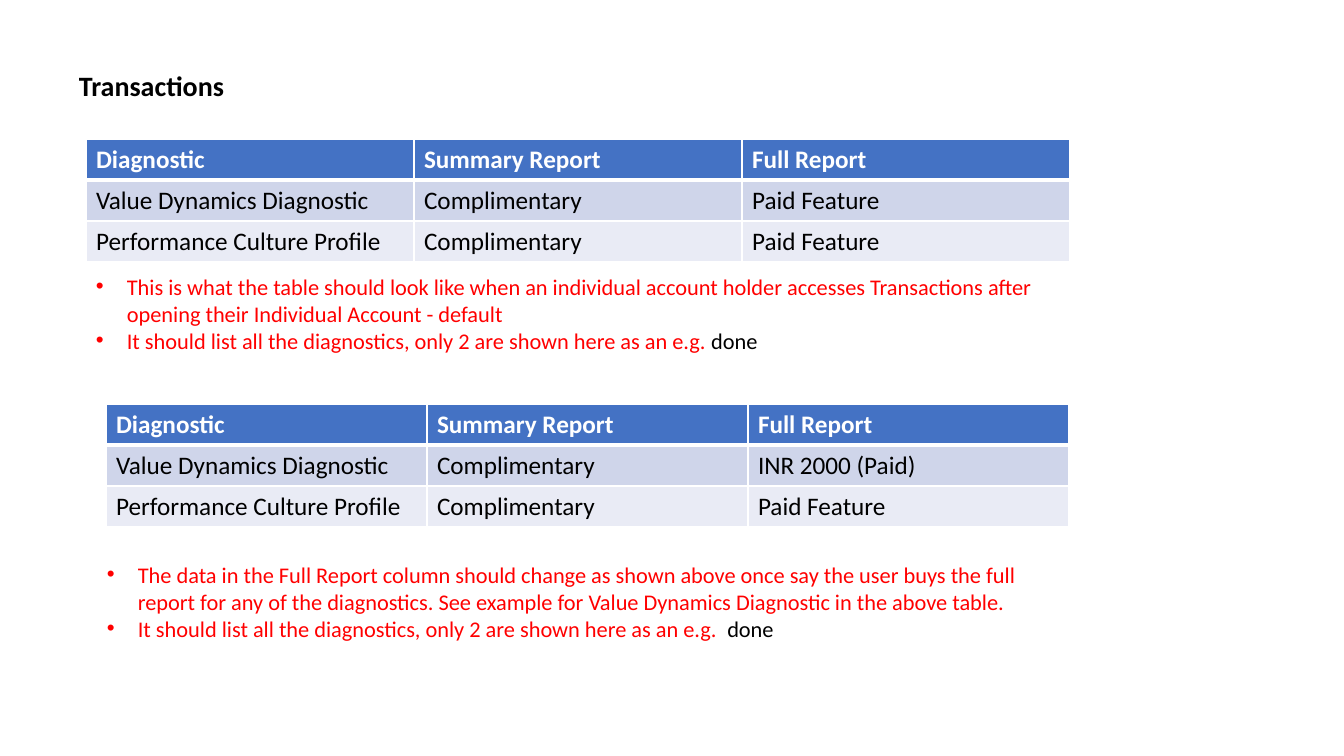
from dataclasses import dataclass

from lxml import etree
from pptx import Presentation
from pptx import util as u
from pptx.dml.color import RGBColor
from pptx.enum import text
from pptx.oxml import ns

TITLE = "Transactions"
HEADER = ("Diagnostic", "Summary Report", "Full Report")
REMINDER = "It should list all the diagnostics, only 2 are shown here as an e.g. "
STATUS = "done"

TABLES = [
    {"left": 86, "top": 139, "column": 328, "rows": [
        HEADER,
        ("Value Dynamics Diagnostic", "Complimentary", "Paid Feature"),
        ("Performance Culture Profile", "Complimentary", "Paid Feature"),
    ]},
    {"left": 106, "top": 404, "column": 321, "rows": [
        HEADER,
        ("Value Dynamics Diagnostic", "Complimentary", "INR 2000 (Paid)"),
        ("Performance Culture Profile", "Complimentary", "Paid Feature"),
    ]},
]
NOTES = [
    {"left": 86, "top": 268, "lines": [
        ("This is what the table should look like when an individual account holder "
         "accesses Transactions after opening their Individual Account - default",),
        (REMINDER, STATUS),
    ]},
    {"left": 97, "top": 556, "lines": [
        ("The data in the Full Report column should change as shown above once say "
         "the user buys the full report for any of the diagnostics. See example for "
         "Value Dynamics Diagnostic in the above table.",),
        (REMINDER + " ", STATUS),
    ]},
]

SLIDE_SIZE = (1344, 756)
TITLE_BOX = (69, 64, 167, 44)
NOTE_SIZE = (965, 92)
ROW_HEIGHT = 41
INDENT = 31


@dataclass(frozen=True)
class Theme:
    font: str = "Calibri"
    ink: str = "000000"
    paper: str = "FFFFFF"
    note: str = "FF0000"
    header: str = "4472C4"
    bands: tuple = ("CFD5EA", "E9EBF5")
    title_size: int = 20
    table_size: int = 18
    note_size: int = 16
    thin: int = 1
    thick: int = 3


THEME = Theme()


def px(length):
    return u.Emu(round(length * 914400 / 100.8))


def style(font, size, color, bold=False):
    font.name = THEME.font
    font.size = u.Pt(size)
    font.bold = bold
    font.color.rgb = RGBColor.from_string(color)


def add_borders(cell, row):
    widths = {
        "lnL": THEME.thin,
        "lnR": THEME.thin,
        "lnT": THEME.thick if row == 1 else THEME.thin,
        "lnB": THEME.thick if row == 0 else THEME.thin,
    }
    properties = cell._tc.get_or_add_tcPr()
    for position, (side, width) in enumerate(widths.items()):
        line = etree.Element(ns.qn(f"a:{side}"), w=str(u.Pt(width)))
        fill = etree.SubElement(line, ns.qn("a:solidFill"))
        etree.SubElement(fill, ns.qn("a:srgbClr"), val=THEME.paper)
        properties.insert(position, line)


def add_table(page, content):
    rows, column = content["rows"], content["column"]
    table = page.shapes.add_table(
        len(rows), len(HEADER), px(content["left"]), px(content["top"]),
        px(column * len(HEADER)), px(ROW_HEIGHT * len(rows))).table
    for table_column in table.columns:
        table_column.width = px(column)
    for row, values in enumerate(rows):
        table.rows[row].height = px(ROW_HEIGHT)
        is_header = row == 0
        fill = THEME.header if is_header else THEME.bands[(row - 1) % 2]
        color = THEME.paper if is_header else THEME.ink
        for index, value in enumerate(values):
            cell = table.cell(row, index)
            cell.text = value
            cell.fill.solid()
            cell.fill.fore_color.rgb = RGBColor.from_string(fill)
            add_borders(cell, row)
            style(cell.text_frame.paragraphs[0].font, THEME.table_size, color, is_header)


def add_box(page, bounds, wrap):
    frame = page.shapes.add_textbox(*map(px, bounds)).text_frame
    frame.word_wrap = wrap
    frame.auto_size = text.MSO_AUTO_SIZE.SHAPE_TO_FIT_TEXT
    return frame


def add_bullet(para):
    properties = para._p.get_or_add_pPr()
    properties.set("marL", str(px(INDENT)))
    properties.set("indent", str(-px(INDENT)))
    etree.SubElement(properties, ns.qn("a:buFont"), typeface="Arial")
    etree.SubElement(properties, ns.qn("a:buChar"), char="•")


def add_note(page, content):
    frame = add_box(page, (content["left"], content["top"], *NOTE_SIZE), True)
    for index, parts in enumerate(content["lines"]):
        para = frame.add_paragraph() if index else frame.paragraphs[0]
        add_bullet(para)
        for part in parts:
            span = para.add_run()
            span.text = part
            style(span.font, THEME.note_size, THEME.ink if part == STATUS else THEME.note)


def main():
    deck = Presentation()
    deck.slide_width, deck.slide_height = map(px, SLIDE_SIZE)
    page = deck.slides.add_slide(deck.slide_layouts[6])
    for content in TABLES:
        add_table(page, content)
    para = add_box(page, TITLE_BOX, False).paragraphs[0]
    para.text = TITLE
    style(para.font, THEME.title_size, THEME.ink, True)
    for content in NOTES:
        add_note(page, content)
    deck.save("out.pptx")


if __name__ == "__main__":
    main()
